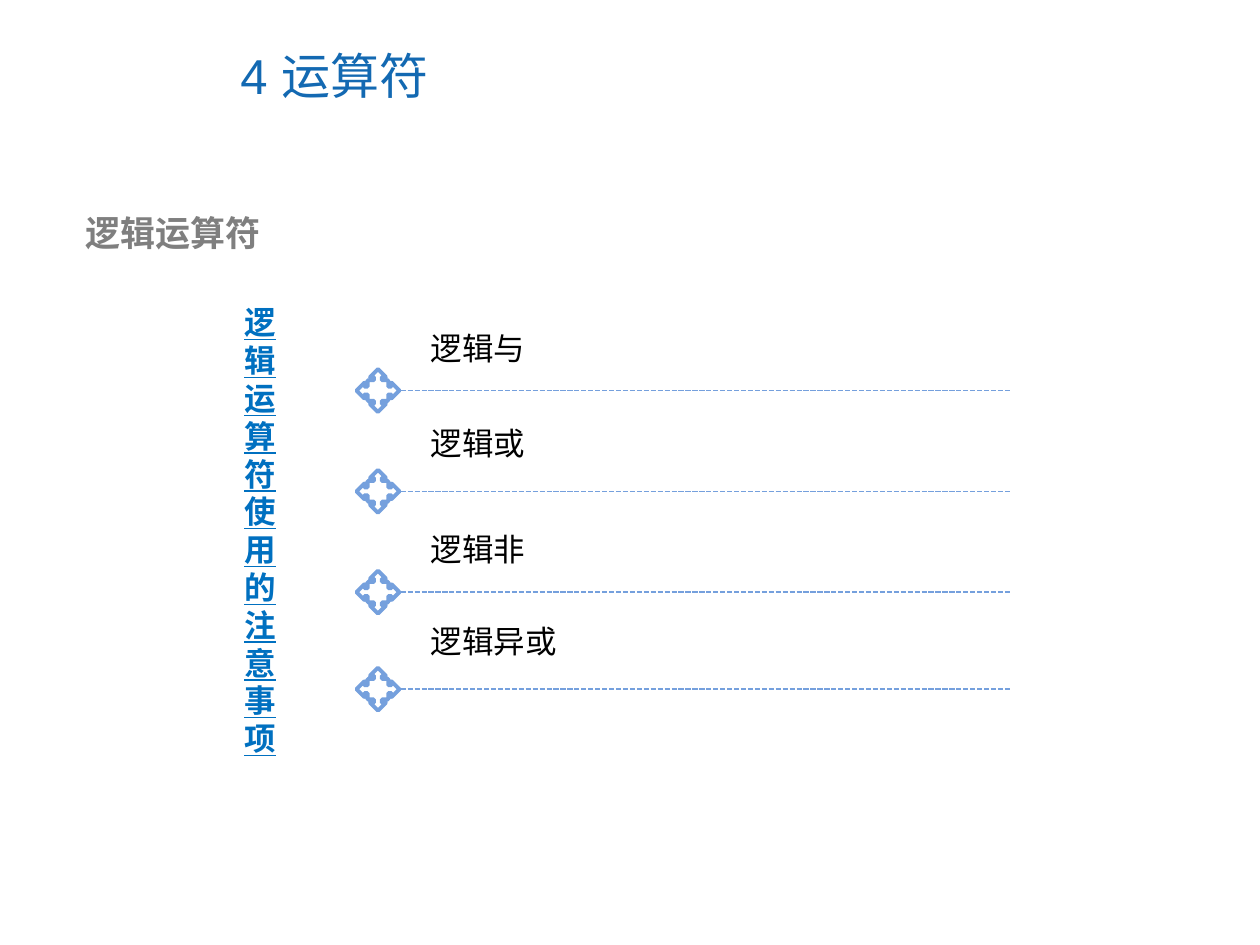
"""Build the slide on logical operators."""
import pptx
import pptx.util
import pptx.dml.color
import pptx.enum.dml
import pptx.enum.shapes
import pptx.enum.text
import pptx.oxml
import pptx.oxml.ns

Inches, Pt = pptx.util.Inches, pptx.util.Pt
RGB = pptx.dml.color.RGBColor
ANCHOR = pptx.enum.text.MSO_ANCHOR

TITLE = RGB(0x13, 0x69, 0xB2)
GREY = RGB(0x7F, 0x7F, 0x7F)
BLUE = RGB(0x00, 0x70, 0xC0)
LIGHT = RGB(0x75, 0xA0, 0xDD)
BLACK = RGB(0, 0, 0)

HEAD = "4 运算符"
TOPIC = "逻辑运算符"
SIDE = "逻辑运算符使用的注意事项"
ITEMS = [
    ("逻辑与", 2.56, 3.1, 0.95),
    ("逻辑或", 3.32, 3.9, 0.95),
    ("逻辑非", 4.16, 4.7, 0.95),
    ("逻辑异或", 4.89, 5.47, 1.2),
]
LEFT, RIGHT, MARK, GAP = 2.83, 8.03, 0.34, 0.01


def add_text(slide, text, box, size, color, bold=False, wrap=True):
    shape = slide.shapes.add_textbox(*map(Inches, box))
    frame = shape.text_frame
    frame.word_wrap = wrap
    para = frame.paragraphs[0]
    para.text = text
    font = para.font
    font.name, font.size, font.bold = "Arial", Pt(size), bold
    font.color.rgb = color
    return frame


def add_rule(slide, y):
    kind = pptx.enum.shapes.MSO_CONNECTOR.STRAIGHT
    start = LEFT + MARK + GAP
    rule = slide.shapes.add_connector(
        kind, Inches(start), Inches(y), Inches(RIGHT), Inches(y))
    rule.line.color.rgb = LIGHT
    rule.line.width = Pt(1)
    rule.line.dash_style = pptx.enum.dml.MSO_LINE.SQUARE_DOT
    blank = pptx.oxml.parse_xml(
        "<a:effectLst %s/>" % pptx.oxml.ns.nsdecls("a"))
    rule._element.spPr.append(blank)


def add_mark(slide, y):
    kind = pptx.enum.shapes.MSO_SHAPE.QUAD_ARROW_CALLOUT
    mark = slide.shapes.add_shape(
        kind, Inches(LEFT), Inches(y - MARK / 2), Inches(MARK), Inches(MARK))
    mark.shadow.inherit = False
    mark.fill.background()
    mark.line.color.rgb = LIGHT
    mark.line.width = Pt(2.25)


def main():
    deck = pptx.Presentation()
    deck.slide_width, deck.slide_height = Inches(10), Inches(7.5)
    slide = deck.slides.add_slide(deck.slide_layouts[6])
    title = add_text(slide, HEAD, (1.81, 0.17, 5.16, 0.85), 28, TITLE)
    title.vertical_anchor = ANCHOR.MIDDLE
    add_text(slide, TOPIC, (0.58, 1.63, 5.03, 0.74), 20, GREY, bold=True)
    for text, top, y, width in ITEMS:
        add_text(slide, text, (3.32, top, width, 0.4), 18, BLACK, wrap=False)
        add_rule(slide, y)
        add_mark(slide, y)
    side = add_text(slide, SIDE, (1.84, 2.36, 0.43, 3.7), 18, BLUE, bold=True)
    side.paragraphs[0].font.underline = True
    deck.save("out.pptx")


if __name__ == "__main__":
    main()
